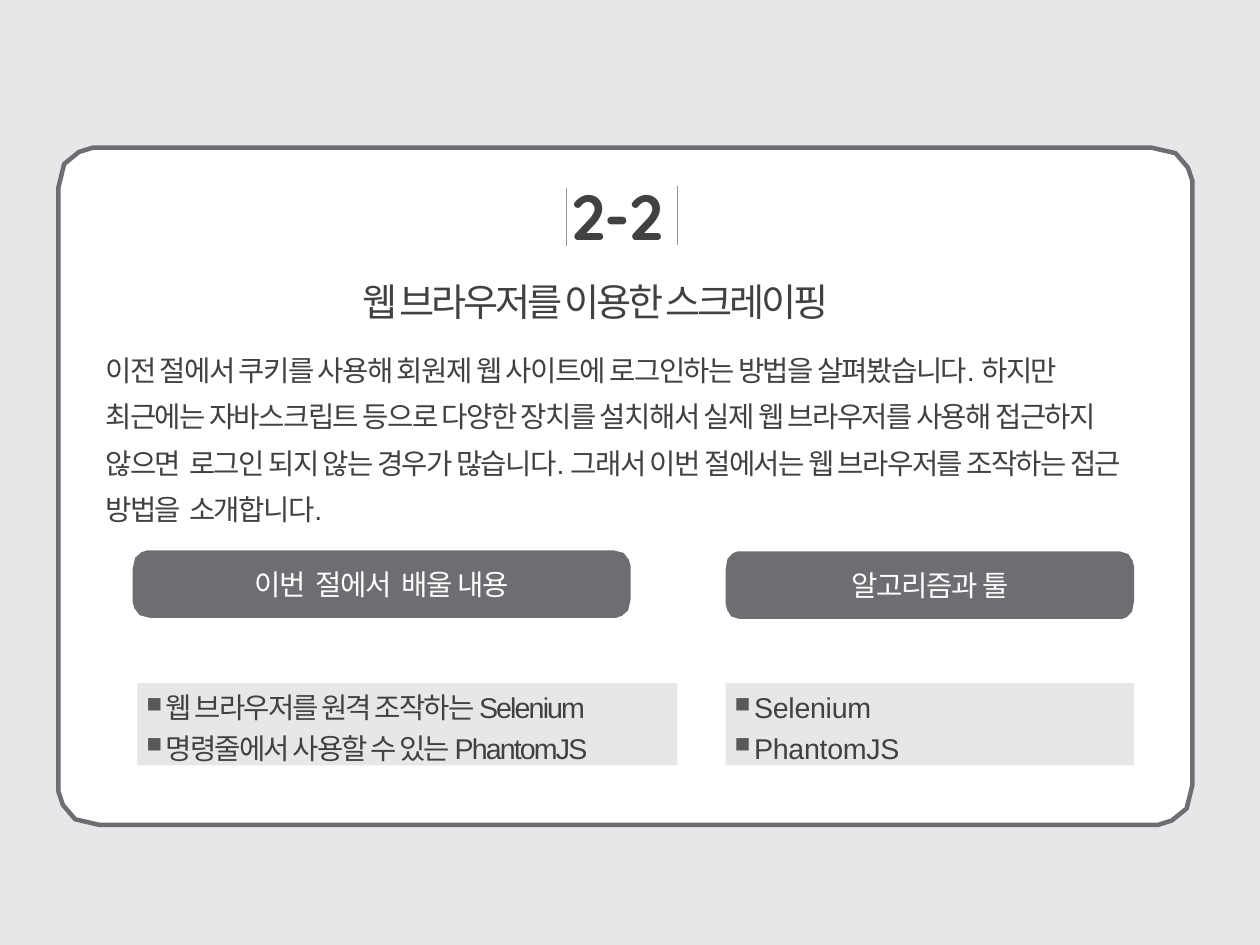
from lxml import etree
from pptx import Presentation
from pptx import util as u
from pptx.dml.color import RGBColor
from pptx.enum import shapes, text
from pptx.oxml import ns

# Content
NUMBER = "2-2"
TITLE = "웹 브라우저를 이용한 스크레이핑"
INTRO = ("이전 절에서 쿠키를 사용해 회원제 웹 사이트에 로그인하는 방법을 살펴봤습니다. "
         "하지만 최근에는 자바스크립트 등으로 다양한 장치를 설치해서 실제 웹 브라우저를 "
         "사용해 접근하지 않으면  로그인 되지 않는 경우가 많습니다. 그래서 이번 절에서는 "
         "웹 브라우저를 조작하는 접근 방법을  소개합니다.")
# heading, heading box, items, list box, letter spacing of the items
PANELS = [
    ("이번  절에서  배울 내용", (11.6, 48.1, 43.5, 5.9),
     ["웹 브라우저를 원격 조작하는 Selenium", "명령줄에서 사용할 수 있는 PhantomJS"],
     (12, 59.7, 47.2, 7.2), -1.2),
    ("알고리즘과 툴", (63.4, 48.2, 35.7, 5.9),
     ["Selenium", "PhantomJS"],
     (63.4, 59.7, 35.7, 7.2), -0.2),
]

# Layout in grid cells of a tenth of an inch
CELL = u.Inches(0.1)
COLUMNS, ROWS = 110.1, 82.6
CARD = (5.1, 12.9, 99.1, 59.2)
NUMBER_BOX = (49.9, 15.5, 10.4, 6.7)
TITLE_BOX = (31.7, 24.3, 53.3, 4)
INTRO_BOX = (9.2, 29.8, 89.8, 16.4)
RULES = [(49.5, 16.4), (59.2, 16.3)]
RULE_HEIGHT = 5.1
# Facets of a corner: shares of its size along the incoming and outgoing side
FACETS = [(1, 0), (0.84, 0), (0.5, 0.11), (0.14, 0.41), (0, 1)]

PALE = RGBColor(0xE6, 0xE7, 0xE8)
GRAY = RGBColor(0x6D, 0x6E, 0x71)
RULE_GRAY = RGBColor(0x93, 0x95, 0x98)
INK = RGBColor(0x41, 0x40, 0x42)
WHITE = RGBColor(0xFF, 0xFF, 0xFF)


def cells(*values):
    return [round(value * CELL) for value in values]


def paint(shape, fill, line=None):
    shape.shadow.inherit = False
    shape.fill.solid()
    shape.fill.fore_color.rgb = fill
    if line is None:
        shape.line.fill.background()
    else:
        shape.line.color.rgb = line
        shape.line.width = u.Pt(2.83)


def faceted_box(page, box, corner_x, corner_y):
    left, top, width, height = box
    right, bottom = left + width, top + height
    points = []
    # Counterclockwise from the top left; odd corners are entered vertically
    corners = [(left, 1, top, 1), (left, 1, bottom, -1),
               (right, -1, bottom, -1), (right, -1, top, 1)]
    for index, (x, sign_x, y, sign_y) in enumerate(corners):
        for incoming, outgoing in FACETS:
            across, down = (outgoing, incoming) if index % 2 else (incoming, outgoing)
            points.append(cells(x + sign_x * across * corner_x,
                                y + sign_y * down * corner_y))
    builder = page.shapes.build_freeform(*points[0])
    builder.add_line_segments(points[1:], close=True)
    return builder.convert_to_shape()


def write(shape, lines, size, font, color, spacing, bold=False,
          align=text.PP_ALIGN.LEFT, anchor=text.MSO_ANCHOR.TOP, inset_top=0):
    frame = shape.text_frame
    frame.word_wrap = True
    frame.vertical_anchor = anchor
    frame.margin_left = frame.margin_right = frame.margin_bottom = 0
    frame.margin_top = u.Inches(inset_top)
    frame.text = "\n".join(lines)
    for para in frame.paragraphs:
        para.alignment = align
        for span in para.runs:
            span.font.size = u.Pt(size)
            span.font.name = font
            span.font.bold = bold
            span.font.color.rgb = color
            span.font._element.set("spc", str(round(spacing * 100)))
    return frame.paragraphs


def add_bullet(para):
    para.space_before = u.Pt(4)
    props = para._p.get_or_add_pPr()
    props.set("marL", str(u.Inches(0.25)))
    props.set("indent", str(-u.Inches(0.17)))
    color = etree.SubElement(props, ns.qn("a:buClr"))
    etree.SubElement(color, ns.qn("a:srgbClr"), val="58595B")
    etree.SubElement(props, ns.qn("a:buSzPct"), val="75000")
    etree.SubElement(props, ns.qn("a:buChar"), char="■")


def main():
    deck = Presentation()
    deck.slide_width, deck.slide_height = cells(COLUMNS, ROWS)
    page = deck.slides.add_slide(deck.slide_layouts[6])
    page.background.fill.solid()
    page.background.fill.fore_color.rgb = PALE

    # Card
    paint(faceted_box(page, CARD, 3.6, 3.5), WHITE, GRAY)

    # Section number between two thin rules
    for x, y in RULES:
        rule = page.shapes.add_connector(
            shapes.MSO_CONNECTOR.STRAIGHT, *cells(x, y + RULE_HEIGHT, x, y))
        rule.line.color.rgb = RULE_GRAY
        rule.line.width = u.Pt(0.5)
        etree.SubElement(rule._element.spPr, ns.qn("a:effectLst"))
    number = page.shapes.add_textbox(*cells(*NUMBER_BOX))
    write(number, [NUMBER], 40, "Quicksand", INK, -0.4, bold=True)

    # Title and introduction
    title = page.shapes.add_textbox(*cells(*TITLE_BOX))
    write(title, [TITLE], 24, "Arial", INK, -2)
    intro = page.shapes.add_textbox(*cells(*INTRO_BOX))
    write(intro, [INTRO], 18, "Arial", INK, -1)[0].line_spacing = 1.35

    # Headings with their lists
    for heading, heading_box, items, list_box, spacing in PANELS:
        label = faceted_box(page, heading_box, heading_box[2] / 29, 1.6)
        paint(label, GRAY)
        write(label, [heading], 18, "DejaVu Sans Mono", WHITE, -0.7,
              align=text.PP_ALIGN.CENTER, anchor=text.MSO_ANCHOR.MIDDLE)
        panel = page.shapes.add_shape(shapes.MSO_SHAPE.RECTANGLE, *cells(*list_box))
        paint(panel, PALE)
        for para in write(panel, items, 18, "Arial", INK, spacing, inset_top=0.06):
            add_bullet(para)

    deck.save("out.pptx")


if __name__ == "__main__":
    main()
